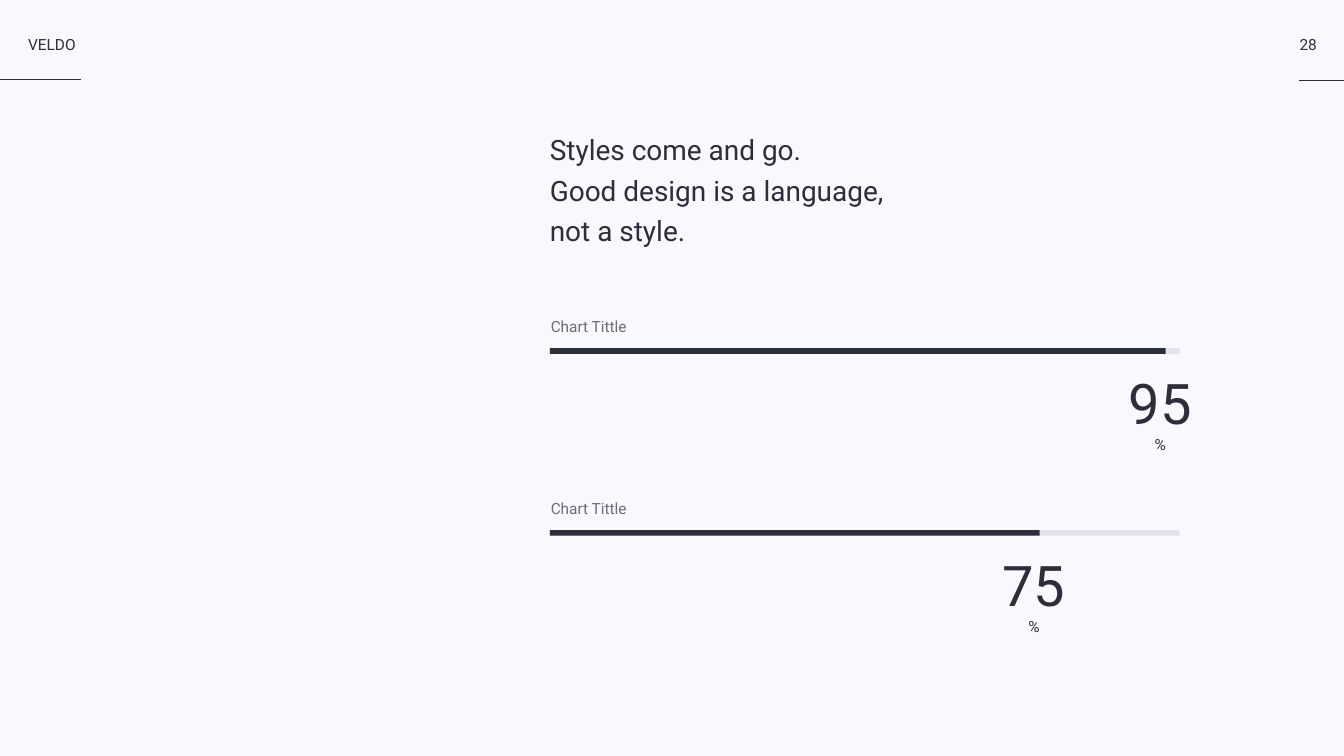
"""Build the slide with a design quote above two progress bars."""
from lxml.etree import SubElement
from pptx import Presentation
from pptx.dml.color import RGBColor
from pptx.enum.shapes import MSO_CONNECTOR, MSO_SHAPE
from pptx.enum.text import MSO_ANCHOR, MSO_AUTO_SIZE, PP_ALIGN
from pptx.oxml.ns import qn
from pptx.util import Cm, Pt

COLORS = {"paper": "F7F9FF", "ink": "2C2E3C", "gray": "6A6E77"}
PALE = 10


def tint(name):
    return RGBColor.from_string(COLORS[name])


def write(box, lines, size=22, color="ink", align=PP_ALIGN.LEFT,
          anchor=MSO_ANCHOR.TOP, space=1.0, unit=None):
    frame = box.text_frame
    frame.margin_left = frame.margin_right = 0
    frame.margin_top = frame.margin_bottom = 0
    frame.word_wrap = False
    frame.auto_size = MSO_AUTO_SIZE.SHAPE_TO_FIT_TEXT
    frame.vertical_anchor = anchor
    frame.text = lines
    for para in frame.paragraphs:
        para.alignment = align
        para.line_spacing = space
        if unit:
            para.add_line_break()
            para.add_run().text = unit
        for run in para.runs:
            font = run.font
            font.name = "Roboto"
            font.size = Pt(22 if run.text == unit else size)
            font.color.rgb = tint(color)


deck = Presentation()
deck.slide_width, deck.slide_height = Cm(67.74), Cm(38.1)
slide = deck.slides.add_slide(deck.slide_layouts[5])
slide.background.fill.solid()
slide.background.fill.fore_color.rgb = tint("paper")
shapes = slide.shapes

quote = shapes.title
quote.left, quote.top, quote.width, quote.height = Cm(27.71), Cm(6.35), Cm(16.97), Cm(6.35)
write(quote, "Styles come and go.\nGood design is a language,\nnot a style.",
      size=40, space=1.2)

for start, end, top in [(0, 4.09, 4.01), (65.48, 67.74, 4.06)]:
    rule = shapes.add_connector(MSO_CONNECTOR.STRAIGHT, Cm(start), Cm(top), Cm(end), Cm(top))
    rule.line.color.rgb = tint("ink")
    rule.line.width = Pt(2)
    SubElement(rule.element.spPr, qn("a:effectLst"))

for label, left, width, align in [("VELDO", 1.42, 2.67, PP_ALIGN.LEFT),
                                  ("28", 65.48, 0.91, PP_ALIGN.CENTER)]:
    box = shapes.add_textbox(Cm(left), Cm(1.75), Cm(width), Cm(1.02))
    write(box, label, align=align)

for value, top, length, left in [("95", 17.55, 31.04, 56.62),
                                 ("75", 26.72, 24.69, 50.25)]:
    for width, alpha in [(31.75, PALE), (length, 100)]:
        bar = shapes.add_shape(MSO_SHAPE.RECTANGLE, Cm(27.71), Cm(top), Cm(width), Cm(0.28))
        bar.shadow.inherit = False
        bar.line.fill.background()
        bar.fill.solid()
        bar.fill.fore_color.rgb = tint("ink")
        if alpha < 100:
            color = bar.element.spPr.find(qn("a:solidFill"))[0]
            SubElement(color, qn("a:alpha"), val=str(alpha * 1000))
    name = shapes.add_textbox(Cm(27.76), Cm(top - 2.03), Cm(3.84), Cm(1.02))
    write(name, "Chart Tittle", color="gray", space=1.5)
    score = shapes.add_textbox(Cm(left), Cm(top + 1.3), Cm(3.73), Cm(3.73))
    write(score, value, size=80, align=PP_ALIGN.CENTER, anchor=MSO_ANCHOR.MIDDLE, unit="%")

deck.save("out.pptx")
